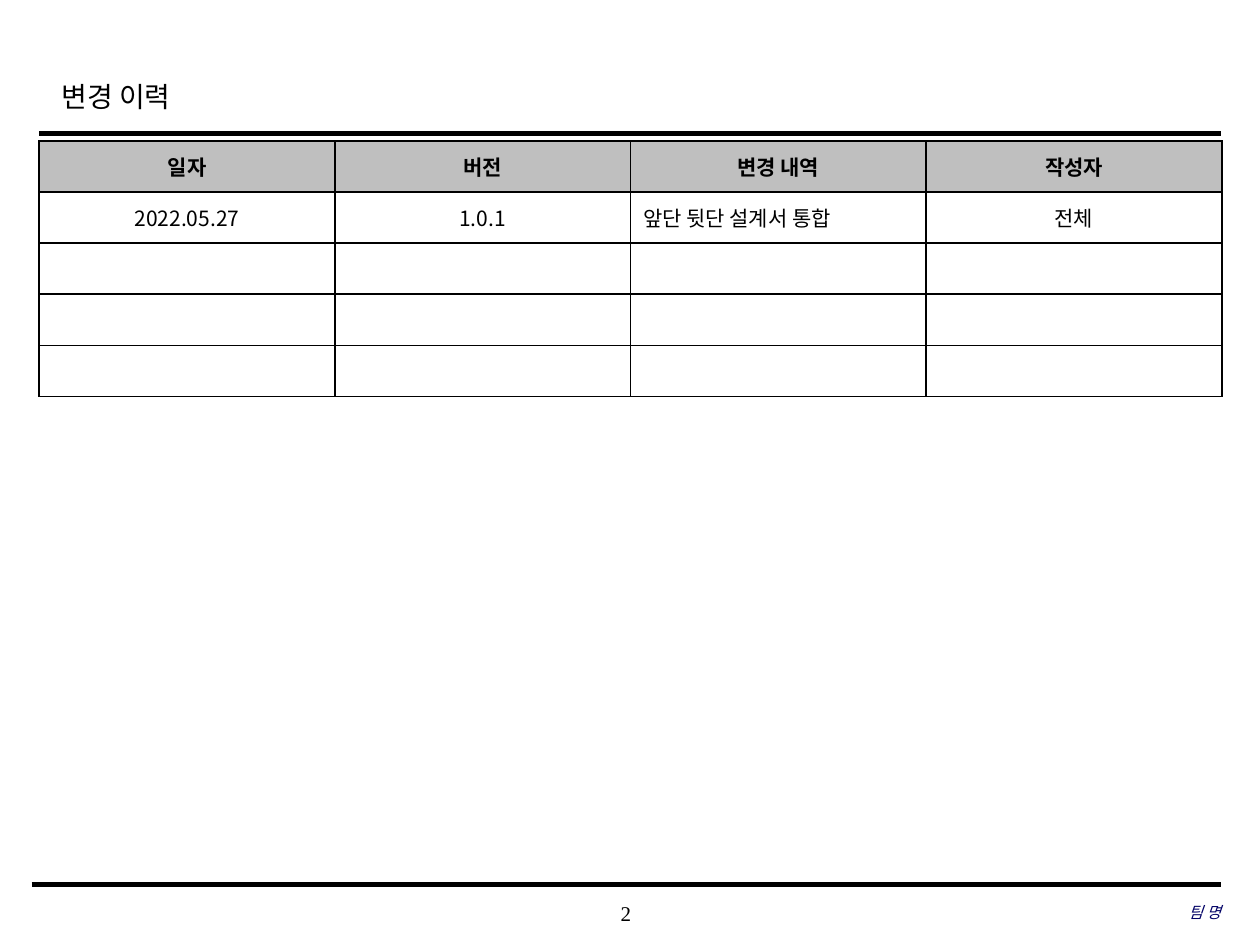
from lxml import etree
from pptx import Presentation
from pptx.dml.color import RGBColor
from pptx.enum.shapes import MSO_CONNECTOR
from pptx.enum.text import MSO_ANCHOR, PP_ALIGN
from pptx.oxml.ns import qn
from pptx.util import Cm, Pt

LEFT, CENTER, RIGHT = PP_ALIGN.LEFT, PP_ALIGN.CENTER, PP_ALIGN.RIGHT
MIDDLE = MSO_ANCHOR.MIDDLE
STRAIGHT = MSO_CONNECTOR.STRAIGHT
COLORS = {"black": "000000", "white": "FFFFFF", "header": "BFBFBF", "team": "000066"}
SERIF, SANS = "Times New Roman", "Noto Sans CJK KR"
HISTORY = [
    ["일자", "버전", "변경 내역", "작성자"],
    ["2022.05.27", "1.0.1", "앞단 뒷단 설계서 통합", "전체"],
    [""] * 4,
    [""] * 4,
    [""] * 4,
]
COLUMN_WIDTH, ROW_HEIGHT = 5.96, 1.03
DESCRIPTION_COLUMN = 2


def rgb(name):
    """Return the named colour."""
    return RGBColor.from_string(COLORS[name])


def write_text(text_frame, text, size=12, font=SERIF, color="black", bold=False,
               italic=False, align=LEFT, spacing=None):
    """Write one formatted paragraph into a text frame."""
    paragraph = text_frame.paragraphs[0]
    paragraph.alignment = align
    paragraph.line_spacing = spacing
    run = paragraph.add_run()
    run.text = text
    run.font.size = Pt(size)
    run.font.bold = bold
    run.font.italic = italic
    run.font.color.rgb = rgb(color)
    run.font.name = font
    etree.SubElement(run.font._element, qn("a:ea"), typeface=SANS)


def set_title(slide, text):
    """Place and fill the title placeholder."""
    title = slide.shapes.title
    title.left, title.top, title.width, title.height = Cm(0.99), Cm(1.24), Cm(19.18), Cm(1.27)
    title.text_frame.vertical_anchor = MIDDLE
    write_text(title.text_frame, text, size=16, spacing=1.2)


def add_rule(slide, left, right, top, width):
    """Draw a horizontal black rule."""
    rule = slide.shapes.add_connector(STRAIGHT, Cm(left), Cm(top), Cm(right), Cm(top))
    rule.line.color.rgb = rgb("black")
    rule.line.width = Pt(width)
    etree.SubElement(rule._element.spPr, qn("a:effectLst"))


def add_label(slide, text, left, top, width, height, **text_format):
    """Add a text box without insets."""
    shape = slide.shapes.add_textbox(Cm(left), Cm(top), Cm(width), Cm(height))
    frame = shape.text_frame
    frame.word_wrap = True
    frame.vertical_anchor = MIDDLE
    frame.margin_left = frame.margin_right = frame.margin_top = frame.margin_bottom = 0
    write_text(frame, text, **text_format)


def set_borders(cell, width=1):
    """Give a cell a black border on every side."""
    properties = cell._tc.get_or_add_tcPr()
    for index, side in enumerate(("a:lnL", "a:lnR", "a:lnT", "a:lnB")):
        line = etree.Element(qn(side), w=str(Pt(width)))
        fill = etree.SubElement(line, qn("a:solidFill"))
        etree.SubElement(fill, qn("a:srgbClr"), val=COLORS["black"])
        properties.insert(index, line)


def add_history_table(slide, rows, left, top):
    """Add the change history table."""
    column_count = len(rows[0])
    shape = slide.shapes.add_table(len(rows), column_count, Cm(left), Cm(top),
                                   Cm(COLUMN_WIDTH * column_count), Cm(ROW_HEIGHT * len(rows)))
    table = shape.table
    for column in table.columns:
        column.width = Cm(COLUMN_WIDTH)
    for row_index, values in enumerate(rows):
        table.rows[row_index].height = Cm(ROW_HEIGHT)
        is_header = row_index == 0
        for column_index, text in enumerate(values):
            cell = table.cell(row_index, column_index)
            cell.fill.solid()
            cell.fill.fore_color.rgb = rgb("header" if is_header else "white")
            cell.vertical_anchor = MIDDLE
            cell.margin_top = cell.margin_bottom = Cm(0.1)
            set_borders(cell)
            if text:
                is_description = column_index == DESCRIPTION_COLUMN and not is_header
                write_text(cell.text_frame, text, font=SANS, bold=is_header,
                           align=LEFT if is_description else CENTER)


def main():
    """Build and save the change history slide."""
    presentation = Presentation()
    presentation.slide_width, presentation.slide_height = Cm(25.4), Cm(19.05)
    slide = presentation.slides.add_slide(presentation.slide_layouts[5])
    add_label(slide, "2", 9.98, 17.98, 5.28, 0.84, align=CENTER)
    add_rule(slide, 0.79, 24.61, 2.69, 2.5)
    add_rule(slide, 0.64, 24.61, 17.83, 3)
    set_title(slide, "변경 이력")
    add_label(slide, "팀 명", 16.84, 17.96, 7.77, 0.84, size=9, color="team",
              italic=True, align=RIGHT)
    add_history_table(slide, HISTORY, 0.79, 2.84)
    presentation.save("out.pptx")


if __name__ == "__main__":
    main()
